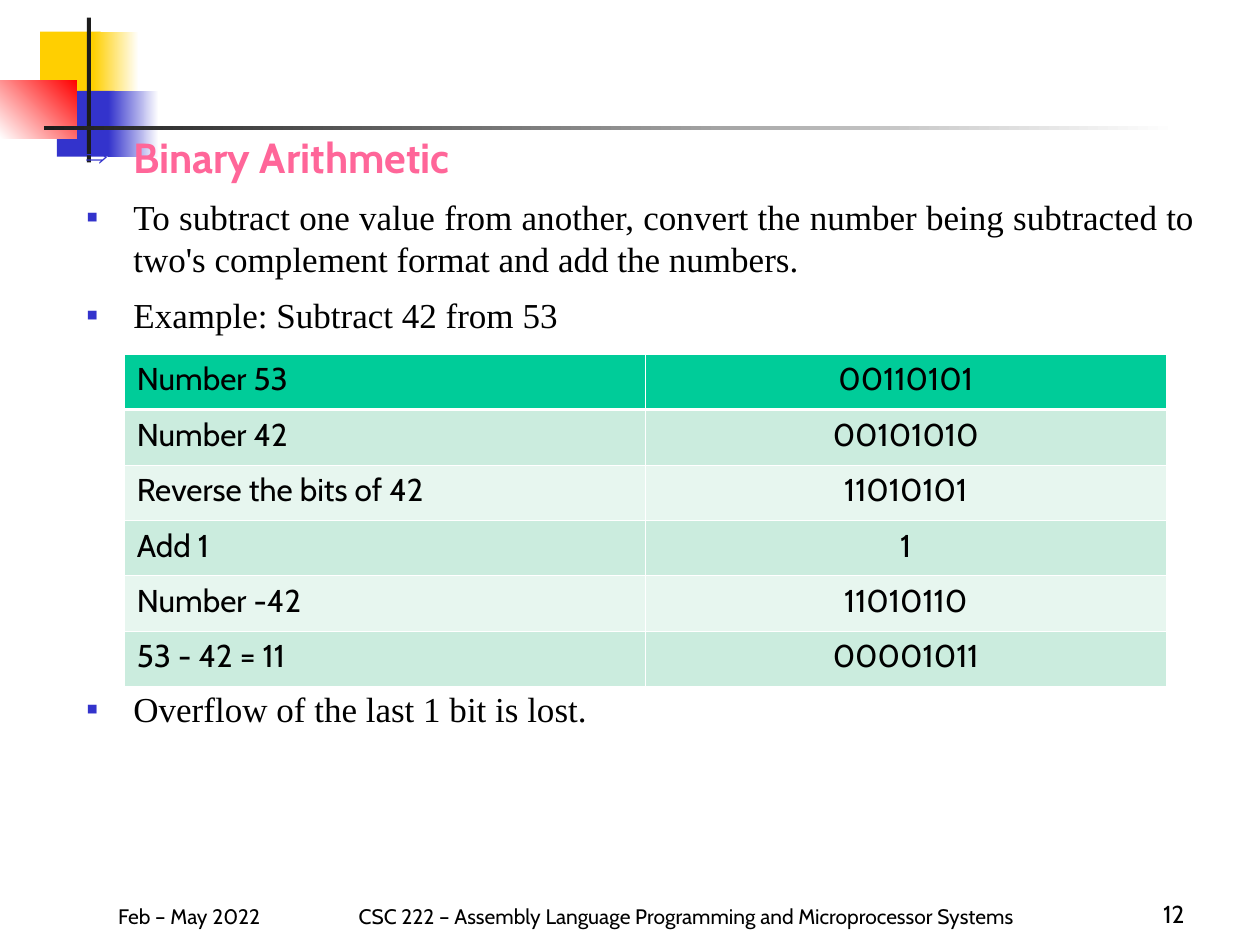
from pptx import Presentation
from pptx.dml.color import RGBColor
from pptx.enum.shapes import MSO_SHAPE as Shape
from pptx.enum.text import MSO_ANCHOR as Anchor, MSO_AUTO_SIZE as AutoSize, PP_ALIGN as Align
from pptx.oxml.ns import qn
from pptx.util import Pt
from lxml.etree import SubElement

YELLOW = RGBColor(0xFF, 0xCF, 0x01)
BLUE = RGBColor(0x33, 0x33, 0xCC)
RED = RGBColor(0xFF, 0x00, 0x00)
DARK = RGBColor(0x1C, 0x1C, 0x1C)
PINK = RGBColor(0xFF, 0x66, 0x99)
BLACK = RGBColor(0x00, 0x00, 0x00)
WHITE = RGBColor(0xFF, 0xFF, 0xFF)
GREEN = RGBColor(0x00, 0xCC, 0x99)
MINT = RGBColor(0xCB, 0xEC, 0xDE)
PALE = RGBColor(0xE7, 0xF6, 0xEF)

SANS = "Cabin"
SERIF = "Times New Roman"

STEPS = [
    ("Number 53", "00110101"),
    ("Number 42", "00101010"),
    ("Reverse the bits of 42", "11010101"),
    ("Add 1", "1"),
    ("Number -42", "11010110"),
    ("53 - 42 = 11", "00001011"),
]


def write(paragraph, text, size, face=SANS, color=BLACK, bold=False):
    """Add one formatted run to a paragraph."""
    run = paragraph.add_run()
    run.text = text
    font = run.font
    font.name, font.size, font.bold = face, Pt(size), bold
    font.color.rgb = color


def add_block(slide, box, colors, angle=180):
    """Draw a borderless rectangle in one colour or a two-colour gradient."""
    block = slide.shapes.add_shape(Shape.RECTANGLE, *map(Pt, box))
    block.shadow.inherit = False
    block.line.fill.background()
    if len(colors) == 1:
        block.fill.solid()
        block.fill.fore_color.rgb = colors[0]
        return
    block.fill.gradient()
    block.fill.gradient_angle = angle
    for stop, color in zip(block.fill.gradient_stops, colors):
        stop.color.rgb = color


def add_ornament(slide, left, top):
    """Place the overlapping squares and the crossed bars."""
    parts = [
        (23, 8, 34.5, 37.5, [YELLOW]),
        (53.3, 8, 26, 37.5, [WHITE, YELLOW]),
        (32.5, 42, 33, 37.5, [BLUE]),
        (62, 42, 28.8, 37.5, [WHITE, BLUE]),
        (0, 35.8, 44, 33.2, [RED, WHITE], 225),
        (49.7, 0, 2.3, 82.8, [DARK]),
        (25.2, 62, 648, 2.2, [WHITE, DARK]),
    ]
    for x, y, width, height, *paint in parts:
        add_block(slide, (left + x, top + y, width, height), *paint)


def set_bullet(paragraph, symbol, percent):
    """Give a paragraph a hanging blue bullet."""
    props = paragraph._p.get_or_add_pPr()
    props.set("marL", str(Pt(27)))
    props.set("indent", str(Pt(-27)))
    tint = SubElement(props, qn("a:buClr"))
    SubElement(tint, qn("a:srgbClr"), val=str(BLUE))
    SubElement(props, qn("a:buSzPct"), val=str(percent * 1000))
    SubElement(props, qn("a:buFont"), typeface=SERIF)
    SubElement(props, qn("a:buChar"), char=symbol)


def fill_body(body, left, top, width, height):
    """Place the list, leaving room for the table before its last item."""
    body.left, body.top, body.width, body.height = map(Pt, (left, top, width, height))
    body.element.getparent().append(body.element)
    frame = body.text_frame
    frame.auto_size = AutoSize.NONE
    frame.vertical_anchor = Anchor.TOP
    heading = frame.paragraphs[0]
    heading.space_before = Pt(8)
    set_bullet(heading, "⇒", 70)
    write(heading, "Binary Arithmetic", 24, color=PINK, bold=True)
    points = [
        ("To subtract one value from another, convert the number being subtracted "
         "to two's complement format and add the numbers.", 8),
        ("Example: Subtract 42 from 53", 8),
        ("Overflow of the last 1 bit is lost.", 201),
    ]
    for text, gap in points:
        point = frame.add_paragraph()
        point.alignment = Align.JUSTIFY
        point.space_before = Pt(gap)
        set_bullet(point, "▪", 100)
        write(point, text, 20, SERIF)


def set_borders(cell, top, bottom):
    """Draw white cell borders with the given top and bottom widths."""
    props = cell._tc.get_or_add_tcPr()
    for side, width in (("L", 0.45), ("R", 0.45), ("T", top), ("B", bottom)):
        edge = SubElement(props, qn(f"a:ln{side}"), w=str(Pt(width)))
        paint = SubElement(edge, qn("a:solidFill"))
        SubElement(paint, qn("a:srgbClr"), val=str(WHITE))


def add_steps_table(slide, left, top, width, height):
    """Build the table of subtraction steps."""
    box = map(Pt, (left, top, width, height))
    table = slide.shapes.add_table(len(STEPS), 2, *box).table
    for row, step in enumerate(STEPS):
        color = GREEN if row == 0 else MINT if row % 2 else PALE
        for column, text in enumerate(step):
            cell = table.cell(row, column)
            set_borders(cell, 1.47 if row == 1 else 0.45, 1.47 if row == 0 else 0.45)
            cell.fill.solid()
            cell.fill.fore_color.rgb = color
            entry = cell.text_frame.paragraphs[0]
            entry.alignment = Align.CENTER if column else Align.LEFT
            write(entry, text, 18)


def add_footer_text(slide, box, text, size, align):
    """Add a bottom-anchored footer box and return it."""
    footer = slide.shapes.add_textbox(*map(Pt, box))
    frame = footer.text_frame
    frame.word_wrap = True
    frame.vertical_anchor = Anchor.BOTTOM
    line = frame.paragraphs[0]
    line.alignment = align
    write(line, text, size)
    return footer


def add_footer(slide, left, top, width, height):
    """Place the term, course name and slide number."""
    course = add_footer_text(
        slide, (left, top, 648, height),
        "Feb – May 2022\tCSC 222 – Assembly Language Programming and Microprocessor Systems",
        12, Align.LEFT)
    course.text_frame.margin_left = Pt(67.5)
    props = course.text_frame.paragraphs[0]._p.get_or_add_pPr()
    stops = SubElement(props, qn("a:tabLst"))
    SubElement(stops, qn("a:tab"), pos=str(Pt(137.5)), algn="l")
    add_footer_text(slide, (left + width - 150, top, 150, height), "12", 14, Align.RIGHT)


def main():
    """Build and save the slide."""
    deck = Presentation()
    deck.slide_width, deck.slide_height = Pt(720), Pt(540)
    slide = deck.slides.add_slide(deck.slide_layouts[1])
    title = slide.shapes.title
    title.element.getparent().remove(title.element)
    add_ornament(slide, 0, 10)
    add_footer(slide, 0, 498, 684, 36)
    fill_body(slide.placeholders[1], 42, 71.5, 648, 444)
    add_steps_table(slide, 71, 202.3, 595.5, 190)
    deck.save("out.pptx")


if __name__ == "__main__":
    main()
